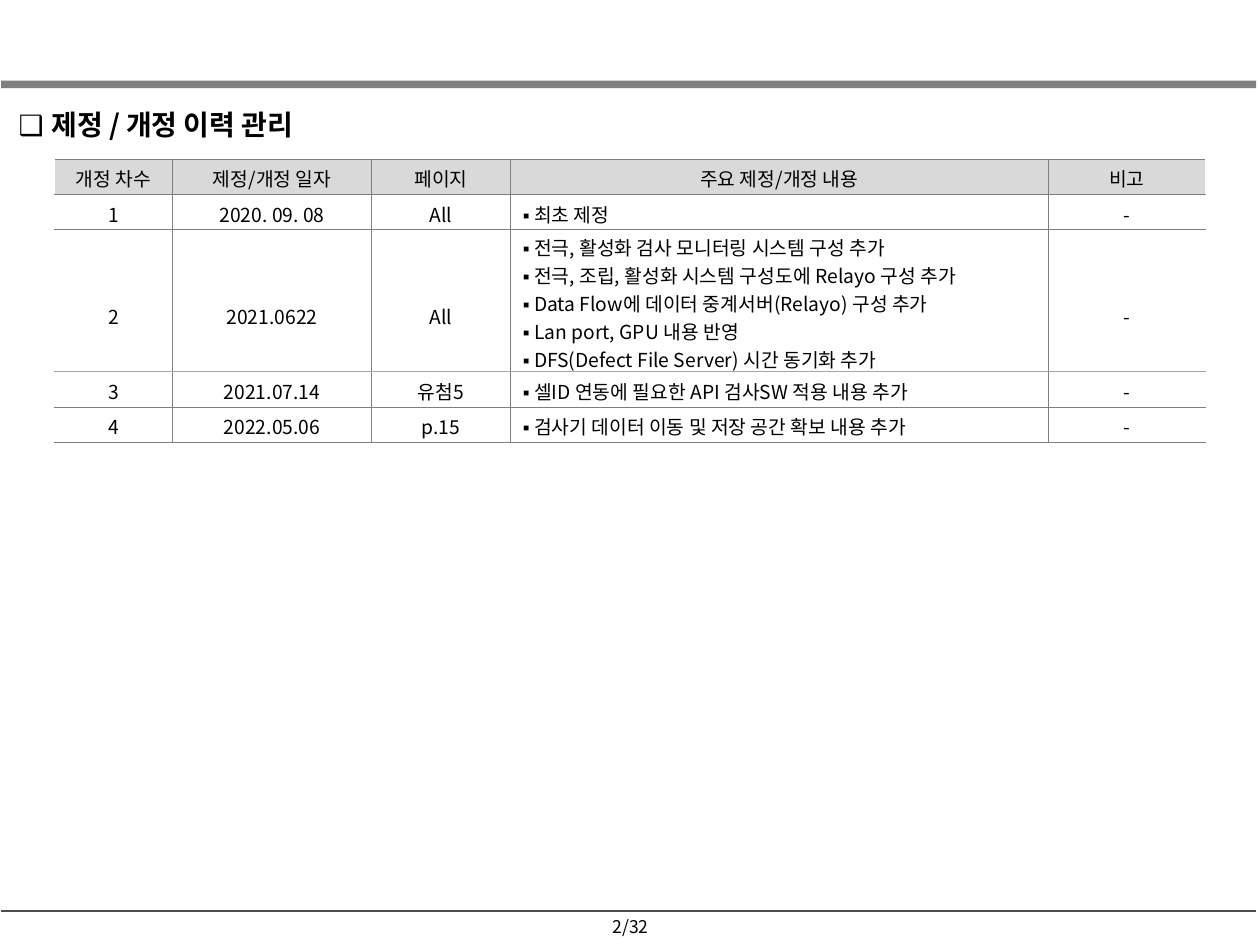
import pptx
import pptx.dml.color
import pptx.enum.shapes
import pptx.enum.text
import pptx.oxml.ns
import pptx.util
from lxml import etree

Inches = pptx.util.Inches
Pt = pptx.util.Pt
ALIGN = pptx.enum.text.PP_ALIGN
ANCHOR = pptx.enum.text.MSO_ANCHOR
qn = pptx.oxml.ns.qn

COLORS = {
    "text": "000000",
    "bar": "7F7F7F",
    "footer_line": "4D4D4D",
    "header": "D9D9D9",
    "body": "FFFFFF",
    "grid": "7F7F7F",
    "light_grid": "A6A6A6",
    "edge": "FFFFFF",
}
KOREAN = "Noto Sans CJK KR"
SYMBOL = "Arial"
COL_WIDTHS = [0.94, 1.58, 1.1, 4.27, 1.25]
ROW_HEIGHTS = [0.28, 0.28, 1.13, 0.28, 0.28]
CONTENT_COL = 3
TALL_ROW = 2
HEADERS = ["개정 차수", "제정/개정 일자", "페이지", "주요 제정/개정 내용", "비고"]
REVISIONS = [
    ["1", "2020. 09. 08", "All", ["최초 제정"], "-"],
    ["2", "2021.0622", "All", [
        "전극, 활성화 검사 모니터링 시스템 구성 추가",
        "전극, 조립, 활성화 시스템 구성도에 Relayo 구성 추가",
        "Data Flow에 데이터 중계서버(Relayo) 구성 추가",
        "Lan port, GPU 내용 반영",
        "DFS(Defect File Server) 시간 동기화 추가",
    ], "-"],
    ["3", "2021.07.14", "유첨5", ["셀ID 연동에 필요한 API 검사SW 적용 내용 추가"], "-"],
    ["4", "2022.05.06", "p.15", ["검사기 데이터 이동 및 저장 공간 확보 내용 추가"], "-"],
]


def rgb(name):
    return pptx.dml.color.RGBColor.from_string(COLORS[name])


def style_paragraph(p, size, align=ALIGN.LEFT, bold=False):
    p.alignment = align
    p.font.size = Pt(size)
    p.font.bold = bold
    p.font.color.rgb = rgb("text")


def add_run(p, text, face):
    r = p.add_run()
    r.text = text
    r.font.name = face
    etree.SubElement(r._r.get_or_add_rPr(), qn("a:ea"), typeface=face)


def add_text(slide, left, top, width, height):
    tf = slide.shapes.add_textbox(
        Inches(left), Inches(top), Inches(width), Inches(height)).text_frame
    return tf, tf.paragraphs[0]


def add_frame(slide):
    sp = slide.shapes.add_shape(
        pptx.enum.shapes.MSO_SHAPE.RECTANGLE,
        Inches(0.01), Inches(0.64), Inches(9.96), Inches(0.06))
    sp.shadow.inherit = False
    sp.fill.solid()
    sp.fill.fore_color.rgb = rgb("bar")
    sp.line.fill.background()

    line = slide.shapes.add_connector(
        pptx.enum.shapes.MSO_CONNECTOR.STRAIGHT,
        Inches(0.01), Inches(7.23), Inches(9.97), Inches(7.23))
    line.line.color.rgb = rgb("footer_line")
    line.line.width = Pt(0.75)
    etree.SubElement(line._element.spPr, qn("a:effectLst"))

    tf, p = add_text(slide, 4.48, 7.22, 1.05, 0.21)
    tf.word_wrap = True
    style_paragraph(p, 10, ALIGN.CENTER)
    add_run(p, "2/32", KOREAN)


def add_title(slide):
    tf, p = add_text(slide, 0.05, 0.85, 2.53, 0.32)
    tf.word_wrap = False
    tf.auto_size = pptx.enum.text.MSO_AUTO_SIZE.SHAPE_TO_FIT_TEXT
    style_paragraph(p, 16, bold=True)
    p.line_spacing = Pt(16)
    add_run(p, "❑ ", SYMBOL)
    add_run(p, "제정 / 개정 이력 관리", KOREAN)


def set_borders(cell, row, col):
    borders = {side: ("grid", 0.23) for side in ("L", "R", "T", "B")}
    if col == 0:
        borders["L"] = ("edge", 0.45)
    if col == len(COL_WIDTHS) - 1:
        borders["R"] = ("edge", 0.45)
    if row == TALL_ROW:
        borders["B"] = ("light_grid", 0.45)
    if row == TALL_ROW + 1:
        borders["T"] = ("light_grid", 0.45)
    tc_pr = cell._tc.get_or_add_tcPr()
    for side, (color, width) in borders.items():
        ln = etree.SubElement(tc_pr, qn(f"a:ln{side}"), w=str(int(Pt(width))))
        fill = etree.SubElement(ln, qn("a:solidFill"))
        etree.SubElement(fill, qn("a:srgbClr"), val=COLORS[color])


def fill_cell(cell, row, col, content):
    set_borders(cell, row, col)
    cell.fill.solid()
    cell.fill.fore_color.rgb = rgb("body" if row else "header")
    cell.vertical_anchor = ANCHOR.MIDDLE
    lowered = row == TALL_ROW and col != CONTENT_COL
    cell.margin_top = Inches(0.25 if lowered else 0.03)
    cell.margin_bottom = 0
    tf = cell.text_frame
    if isinstance(content, str):
        p = tf.paragraphs[0]
        style_paragraph(p, 11, ALIGN.CENTER)
        add_run(p, content, KOREAN)
        return
    for i, text in enumerate(content):
        p = tf.add_paragraph() if i else tf.paragraphs[0]
        style_paragraph(p, 11)
        add_run(p, "▪", SYMBOL)
        add_run(p, " " + text, KOREAN)


def add_history_table(slide):
    rows = [HEADERS] + REVISIONS
    table = slide.shapes.add_table(
        len(rows), len(HEADERS), Inches(0.43), Inches(1.26),
        Inches(sum(COL_WIDTHS)), Inches(sum(ROW_HEIGHTS))).table
    for column, width in zip(table.columns, COL_WIDTHS):
        column.width = Inches(width)
    for table_row, height in zip(table.rows, ROW_HEIGHTS):
        table_row.height = Inches(height)
    table.first_row = False
    table.horz_banding = False
    for row, contents in enumerate(rows):
        for col, content in enumerate(contents):
            fill_cell(table.cell(row, col), row, col, content)


def main():
    prs = pptx.Presentation()
    prs.slide_width = Inches(10)
    prs.slide_height = Inches(7.5)
    slide = prs.slides.add_slide(prs.slide_layouts[6])
    add_frame(slide)
    add_title(slide)
    add_history_table(slide)
    prs.save("out.pptx")


if __name__ == "__main__":
    main()
